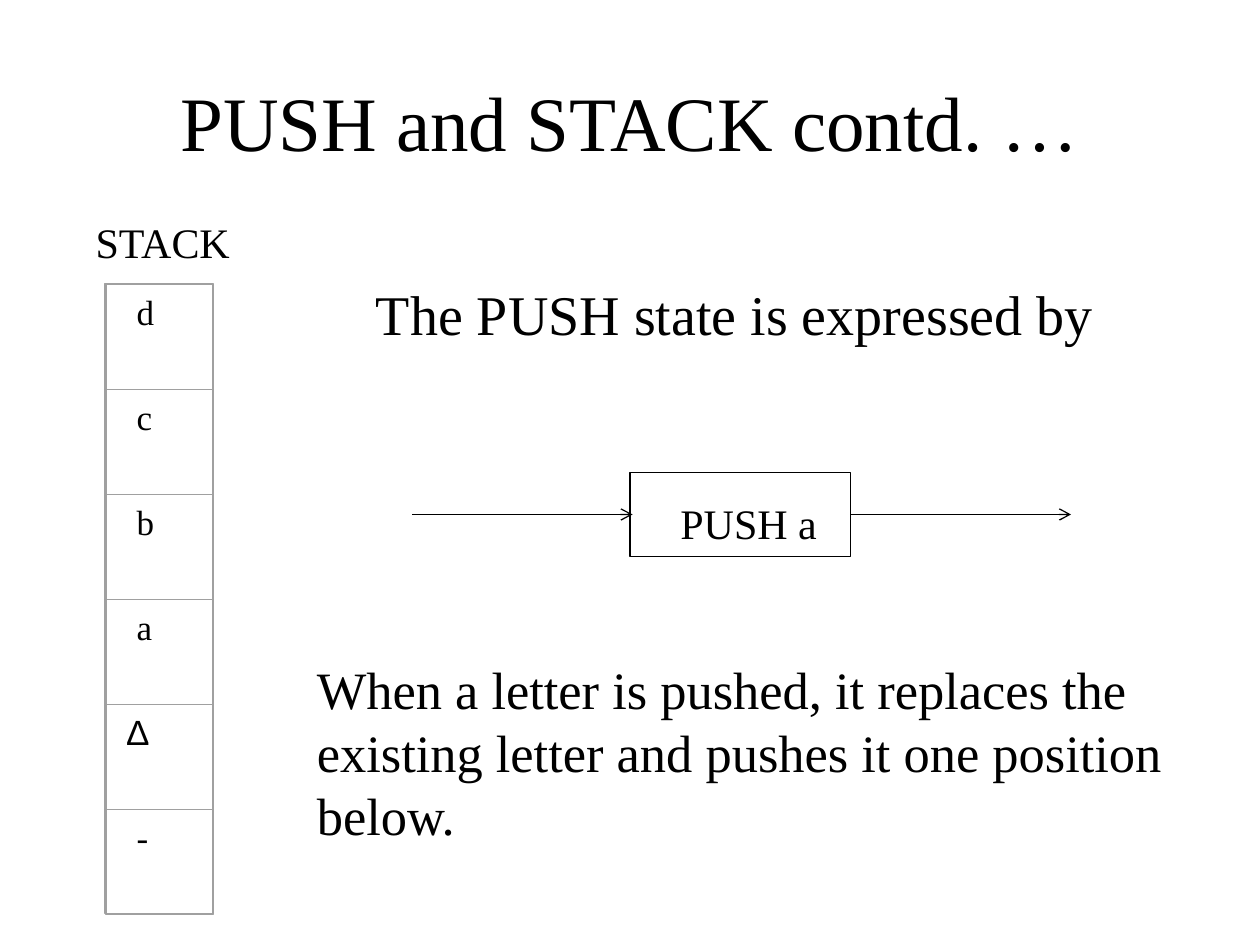
from lxml.etree import SubElement
from pptx import Presentation
from pptx.dml.color import RGBColor
from pptx.enum.shapes import MSO_CONNECTOR as CONN, MSO_SHAPE as SHAPE
from pptx.enum.text import MSO_ANCHOR as ANCHOR, PP_ALIGN as ALIGN
from pptx.oxml.ns import qn
from pptx.util import Inches, Pt

UNIT = Inches(1) / 12  # the slide is a grid of 120 columns by 90 rows
COLORS = {"ink": "000000", "cell": "A0A0A0"}
SERIF, SANS = "Times New Roman", "Arial"
PAD_X, PAD_Y = 1.2, 0.6
STACK = ["d", "c", "b", "a", "∆", "-"]


def grid(*values):
    return [round(v * UNIT) for v in values]


def rgb(name):
    return RGBColor.from_string(COLORS[name])


def write(s, text, size, align=ALIGN.LEFT, font=SERIF, left=PAD_X,
          anchor=ANCHOR.TOP, wrap=True):
    tf = s.text_frame
    tf.word_wrap = wrap
    tf.vertical_anchor = anchor
    tf.margin_left, tf.margin_right = grid(left, PAD_X)
    tf.margin_top, tf.margin_bottom = grid(PAD_Y, PAD_Y)
    tf.text = text
    p = tf.paragraphs[0]
    p.alignment = align
    r = p.runs[0]
    r.font.size = Pt(size)
    r.font.name = font
    r.font.color.rgb = rgb("ink")


def add_text(shapes, box, text, size, **style):
    write(shapes.add_textbox(*grid(*box)), text, size, **style)


def add_outline(shapes, box, color, width):
    s = shapes.add_shape(SHAPE.RECTANGLE, *grid(*box))
    s.shadow.inherit = False
    s.fill.background()
    s.line.color.rgb = rgb(color)
    s.line.width = Pt(width)
    return s


def add_arrow(shapes, x, y, length):
    s = shapes.add_connector(CONN.STRAIGHT, *grid(x, y, x + length, y))
    s.line.color.rgb = rgb("ink")
    s.line.width = Pt(0.75)
    SubElement(s.line._get_or_add_ln(), qn("a:tailEnd"), type="arrow")
    SubElement(s._element.spPr, qn("a:effectLst"))


def add_stack(shapes, box, letters):
    x, y, w, h = box
    group = shapes.add_group_shape().shapes
    row = h / len(letters)
    for i, letter in enumerate(letters):
        s = add_outline(group, (x + 0.1, y + i * row + 0.1, w - 0.1, row),
                        "cell", 0)
        if letter == "∆":
            write(s, letter, 20, font=SANS, left=2)
        else:
            write(s, letter, 20, left=2.9)
    add_outline(group, box, "cell", 0.88)


def add_push_state(shapes, box, label):
    """Draw a labelled state with one arrow in and one arrow out."""
    x, y, w, h = box
    add_text(shapes, (x + 3.6, y + 1.8, 15.4, 6), label, 24,
             align=ALIGN.CENTER, wrap=False)
    group = shapes.add_group_shape().shapes
    add_outline(group, box, "ink", 0.75)
    for start in (x + w, x + 0.25 - w):
        add_arrow(group, start, y + h / 2, w)


def main():
    prs = Presentation()
    prs.slide_width, prs.slide_height = grid(120, 90)
    shapes = prs.slides.add_slide(prs.slide_layouts[6]).shapes
    add_text(shapes, (9, 4, 102, 15), "PUSH and STACK contd. …", 44,
             align=ALIGN.CENTER, anchor=ANCHOR.MIDDLE)
    add_text(shapes, (9, 26, 102, 54), "The PUSH state is expressed by", 32,
             left=26.8)
    add_stack(shapes, (10, 27, 10.3, 60), STACK)
    add_push_state(shapes, (60, 45, 21, 8), "PUSH a")
    add_text(shapes, (6.5, 20, 18, 6), "STACK", 24, align=ALIGN.CENTER)
    add_text(shapes, (29, 62, 88, 28),
             "When a letter is pushed, it replaces the existing letter "
             "and pushes it one position below.", 30)
    prs.save("out.pptx")


if __name__ == "__main__":
    main()
